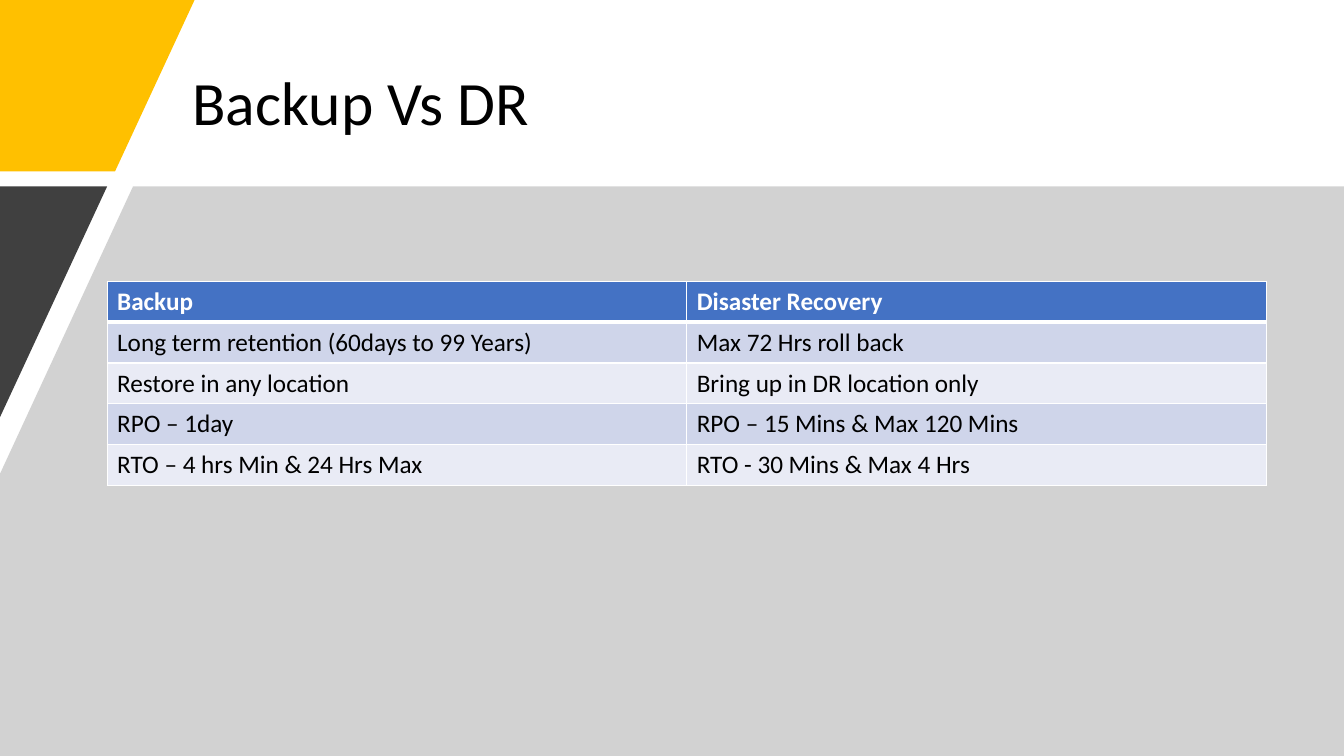
from lxml.etree import SubElement
from pptx import Presentation
from pptx.dml.color import RGBColor
from pptx.enum.text import MSO_ANCHOR, PP_ALIGN
from pptx.oxml.ns import qn
from pptx.util import Pt

TITLE = "Backup Vs DR"
ROWS = [
    ("Backup", "Disaster Recovery"),
    ("Long term retention (60days to 99 Years)", "Max 72 Hrs roll back"),
    ("Restore in any location", "Bring up in DR location only"),
    ("RPO – 1day", "RPO – 15 Mins & Max 120 Mins"),
    ("RTO – 4 hrs Min & 24 Hrs Max", "RTO - 30 Mins & Max 4 Hrs"),
]
THEME = {
    "font": "Calibri", "title_size": 44, "table_size": 18,
    "text": "000000", "header_text": "FFFFFF", "border": "FFFFFF",
    "header": "4472C4", "bands": ("CFD5EA", "E9EBF5"),
    "corner": "FFC000", "panel": "A6A6A6", "wedge": "404040",
}
WIDTH, HEIGHT = 960, 540
PANEL_TOP = 133.2
# Outline points, fill colour, opacity in percent
BACKDROP = [
    ([(0, 0), (139, 0), (82.2, 122.4), (0, 122.4)], THEME["corner"], 100),
    ([(95, PANEL_TOP), (WIDTH, PANEL_TOP), (WIDTH, HEIGHT), (0, HEIGHT), (0, 338.4)],
     THEME["panel"], 50),
    ([(0, PANEL_TOP), (76.5, PANEL_TOP), (0, 298)], THEME["wedge"], 100),
]
TITLE_BOX = (130.3, 28.8, 737.3, 93.6)
TABLE_LEFT, TABLE_TOP = 76.5, 200.9
COLUMN_WIDTH, ROW_HEIGHT = 414, 29.2
THIN, THICK = 1, 3


def write(paragraph, text, size, color, bold=False):
    run = paragraph.add_run()
    run.text = text
    run.font.name = THEME["font"]
    run.font.size = Pt(size)
    run.font.bold = bold
    run.font.color.rgb = RGBColor.from_string(color)


def add_title(slide):
    title = slide.shapes.title
    title.left, title.top, title.width, title.height = map(Pt, TITLE_BOX)
    title.text_frame.vertical_anchor = MSO_ANCHOR.MIDDLE
    paragraph = title.text_frame.paragraphs[0]
    paragraph.alignment = PP_ALIGN.LEFT
    paragraph.line_spacing = 0.9
    write(paragraph, TITLE, THEME["title_size"], THEME["text"])


def add_polygon(slide, points, color, opacity):
    start, *others = [(Pt(x), Pt(y)) for x, y in points]
    builder = slide.shapes.build_freeform(*start)
    builder.add_line_segments(others, close=True)
    shape = builder.convert_to_shape()
    shape.shadow.inherit = False
    shape.line.fill.background()
    shape.fill.solid()
    shape.fill.fore_color.rgb = RGBColor.from_string(color)
    if opacity < 100:
        color_element = shape.fill._xPr.find(f".//{qn('a:srgbClr')}")
        SubElement(color_element, qn("a:alpha"), val=str(opacity * 1000))


def add_borders(cell, top, bottom):
    """Draw the four cell borders; call before the fill, which must follow them."""
    properties = cell._tc.get_or_add_tcPr()
    for side, width in zip("LRTB", (THIN, THIN, top, bottom)):
        line = SubElement(properties, qn(f"a:ln{side}"), w=str(Pt(width)))
        fill = SubElement(line, qn("a:solidFill"))
        SubElement(fill, qn("a:srgbClr"), val=THEME["border"])


def add_comparison_table(slide):
    columns = len(ROWS[0])
    table = slide.shapes.add_table(
        len(ROWS), columns, Pt(TABLE_LEFT), Pt(TABLE_TOP),
        Pt(COLUMN_WIDTH * columns), Pt(ROW_HEIGHT * len(ROWS))).table
    for row_index, texts in enumerate(ROWS):
        header = row_index == 0
        fill = THEME["header"] if header else THEME["bands"][(row_index - 1) % 2]
        color = THEME["header_text"] if header else THEME["text"]
        for column_index, text in enumerate(texts):
            cell = table.cell(row_index, column_index)
            add_borders(cell, THICK if row_index == 1 else THIN, THICK if header else THIN)
            cell.fill.solid()
            cell.fill.fore_color.rgb = RGBColor.from_string(fill)
            write(cell.text_frame.paragraphs[0], text, THEME["table_size"], color, header)


def main():
    presentation = Presentation()
    presentation.slide_width, presentation.slide_height = Pt(WIDTH), Pt(HEIGHT)
    title_only = presentation.slide_layouts[5]
    slide = presentation.slides.add_slide(title_only)
    add_title(slide)
    for points, color, opacity in BACKDROP:
        add_polygon(slide, points, color, opacity)
    add_comparison_table(slide)
    presentation.save("out.pptx")


if __name__ == "__main__":
    main()
